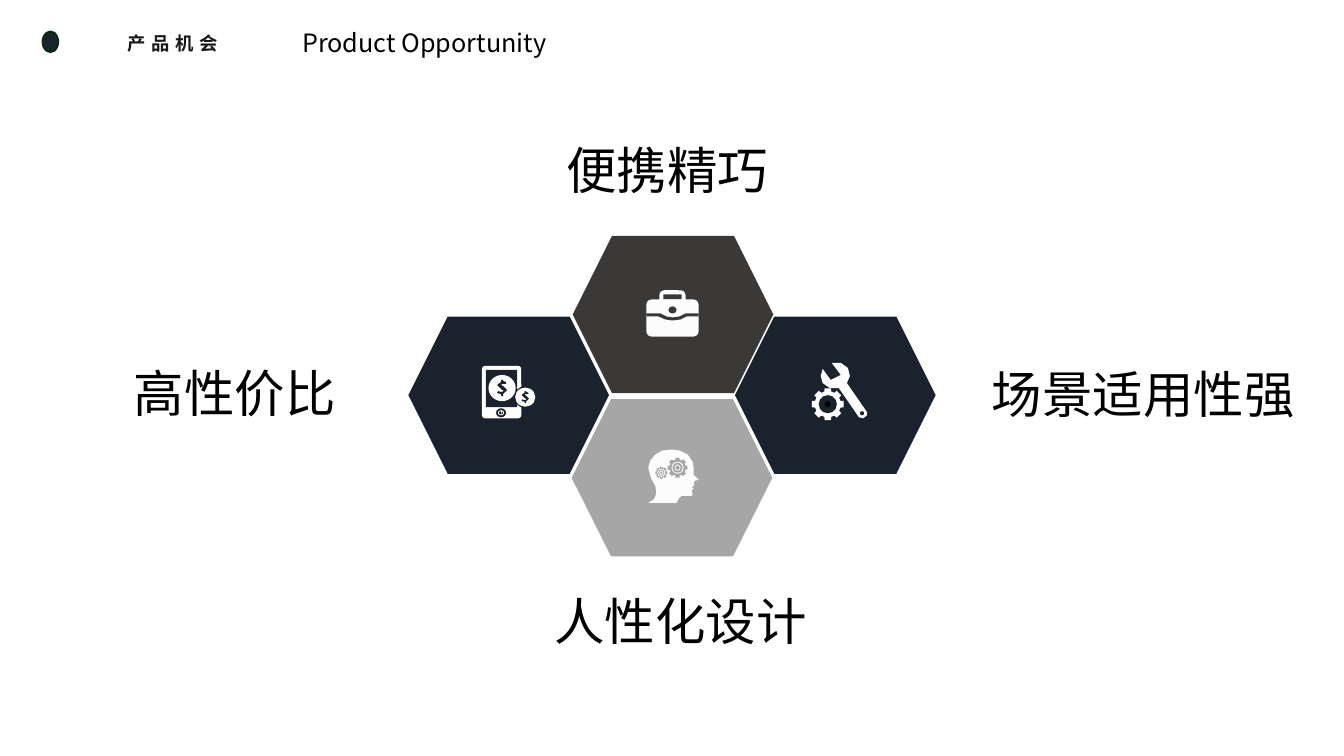
from math import cos, pi, sin

from lxml import etree
from pptx import Presentation
from pptx.dml.color import RGBColor
from pptx.enum.shapes import MSO_SHAPE
from pptx.enum.text import MSO_ANCHOR, MSO_AUTO_SIZE, PP_ALIGN
from pptx.oxml.ns import qn
from pptx.util import Inches, Pt

HEX = MSO_SHAPE.HEXAGON
OVAL = MSO_SHAPE.OVAL
RECT = MSO_SHAPE.RECTANGLE
ROUND = MSO_SHAPE.ROUNDED_RECTANGLE
TOP = MSO_ANCHOR.TOP
LEFT = PP_ALIGN.LEFT
CENTER = PP_ALIGN.CENTER
GROW = MSO_AUTO_SIZE.SHAPE_TO_FIT_TEXT

FONT = "Noto Sans CJK SC"
NAVY = "1A222D"
BROWN = "3B3838"
GRAY = "A6A6A6"
WHITE = "FFFFFF"
PALE = "FCFCFC"
BLACK = "000000"

deck = Presentation()
deck.slide_width = Inches(13.33)
deck.slide_height = Inches(7.5)
slide = deck.slides.add_slide(deck.slide_layouts[5])
shapes = slide.shapes


def tint(item, color):
    item.rgb = RGBColor.from_string(color)


def draw(kind, spec, color):
    """Add a preset shape from its box, or a polygon from its points if kind is None."""
    if kind is None:
        dots = [(Inches(x), Inches(y)) for x, y in spec]
        pen = shapes.build_freeform(*dots[0])
        pen.add_line_segments(dots[1:])
        shape = pen.convert_to_shape()
    else:
        shape = shapes.add_shape(kind, *map(Inches, spec))
    shape.shadow.inherit = False
    shape.fill.solid()
    tint(shape.fill.fore_color, color)
    shape.line.fill.background()
    return shape


# Hexagons
for x, y, color in [(5.68, 2.34, BROWN), (7.29, 3.14, NAVY),
                    (5.67, 3.96, GRAY), (4.05, 3.14, NAVY)]:
    draw(HEX, (x, y, 1.99, 1.56), color).rotation = 180

# Wrench
draw(None, [
    (8.6, 4.09), (8.4, 3.8), (8.43, 3.73), (8.41, 3.65), (8.34, 3.6), (8.25, 3.6),
    (8.34, 3.72), (8.24, 3.77), (8.16, 3.66), (8.14, 3.73), (8.16, 3.8), (8.23, 3.85),
    (8.32, 3.85), (8.52, 4.14), (8.56, 4.15), (8.6, 4.12)], WHITE)
draw(OVAL, (8.53, 4.08, 0.04, 0.04), NAVY)

# Head
draw(None, [
    (6.43, 4.64), (6.45, 4.57), (6.5, 4.51), (6.57, 4.47), (6.66, 4.46), (6.74, 4.47),
    (6.82, 4.51), (6.87, 4.58), (6.88, 4.64), (6.88, 4.71), (6.92, 4.75), (6.93, 4.76),
    (6.89, 4.77), (6.88, 4.82), (6.86, 4.84), (6.88, 4.85), (6.86, 4.87), (6.87, 4.9),
    (6.86, 4.92), (6.76, 4.92), (6.73, 4.95), (6.71, 4.99), (6.43, 4.99), (6.49, 4.95),
    (6.51, 4.89), (6.5, 4.82), (6.46, 4.75), (6.44, 4.68)], PALE)

# Gears: eight teeth each, then discs from the outside in
for cx, cy, tip, root, color, discs in [
        (8.21, 4.01, 0.16, 0.13, WHITE, [(0.09, NAVY), (0.03, BLACK)]),
        (6.56, 4.69, 0.06, 0.05, GRAY,
         [(0.04, PALE), (0.03, GRAY), (0.02, PALE), (0.01, GRAY)]),
        (6.72, 4.64, 0.1, 0.08, GRAY,
         [(0.06, PALE), (0.05, GRAY), (0.03, PALE), (0.02, GRAY)])]:
    teeth = []
    for i in range(8):
        for turn, r in [(-0.26, root), (-0.2, tip), (0.2, tip), (0.26, root)]:
            angle = i * pi / 4 + turn
            teeth.append((cx + r * cos(angle), cy + r * sin(angle)))
    draw(None, teeth, color)
    for r, shade in discs:
        draw(OVAL, (cx - r, cy - r, 2 * r, 2 * r), shade)

# Briefcase
draw(ROUND, (6.54, 2.88, 0.26, 0.16), PALE).adjustments[0] = 0.3
draw(RECT, (6.58, 2.92, 0.18, 0.05), BROWN)
draw(ROUND, (6.41, 2.97, 0.52, 0.37), PALE).adjustments[0] = 0.15
draw(None, [
    (6.41, 3.11), (6.55, 3.11), (6.61, 3.14), (6.67, 3.15), (6.74, 3.14), (6.8, 3.11),
    (6.93, 3.11), (6.93, 3.14), (6.81, 3.14), (6.75, 3.17), (6.67, 3.18), (6.6, 3.17),
    (6.53, 3.14), (6.41, 3.14)], BROWN)
draw(OVAL, (6.63, 3.04, 0.08, 0.07), BROWN)

# Phone with its power button
draw(ROUND, (4.78, 3.63, 0.39, 0.52), WHITE).adjustments[0] = 0.08
draw(RECT, (4.82, 3.67, 0.31, 0.37), NAVY)
draw(OVAL, (4.92, 4.05, 0.1, 0.09), NAVY)
draw(OVAL, (4.94, 4.07, 0.06, 0.05), PALE)
draw(OVAL, (4.95, 4.08, 0.04, 0.03), NAVY)
draw(RECT, (4.97, 4.07, 0.01, 0.03), PALE)

# Coins
sign = [
    (0.01, 0.06), (0.01, 0.08), (-0.01, 0.08), (-0.01, 0.06), (-0.05, 0.05),
    (-0.04, 0.03), (-0.01, 0.04), (0.02, 0.03), (-0.01, 0.01), (-0.05, -0.03),
    (-0.01, -0.06), (-0.01, -0.08), (0.01, -0.08), (0.01, -0.07), (0.04, -0.06),
    (0.04, -0.04), (0, -0.04), (-0.01, -0.03), (0.01, -0.02), (0.05, 0.02)]
draw(OVAL, (5.1, 3.83, 0.23, 0.22), NAVY)
for cx, cy, w, h, size in [(4.98, 3.85, 0.27, 0.26, 1), (5.21, 3.94, 0.2, 0.19, 0.75)]:
    draw(OVAL, (cx - w / 2, cy - h / 2, w, h), WHITE)
    draw(None, [(cx + size * x, cy + size * y) for x, y in sign], NAVY)

# Header dot
dot = draw(OVAL, (0.42, 0.31, 0.16, 0.21), NAVY)
tint(dot.line.color, "003001")
dot.line.width = Pt(1)

# Title and labels
for text, box, size in [
        ("产品机会", (1, 0.27, 1.43, 0.32), 13.1),
        ("Product Opportunity", (2.9, 0.22, 3.5, 0.41), 18),
        ("便携精巧", (5.52, 1.33, 2.29, 0.71), 36),
        ("场景适用性强", (9.74, 3.55, 3.28, 0.71), 36),
        ("人性化设计", (5.4, 5.8, 2.71, 0.71), 36),
        ("高性价比", (1.23, 3.54, 2.31, 0.71), 36)]:
    head = size == 13.1
    label = shapes.title if head else shapes.add_textbox(0, 0, 0, 0)
    label.left, label.top, label.width, label.height = map(Inches, box)
    frame = label.text_frame
    frame.word_wrap = True
    frame.auto_size = GROW
    frame.vertical_anchor = TOP
    line = frame.paragraphs[0]
    line.alignment = CENTER if head else LEFT
    run = line.add_run()
    run.text = text
    run.font.size = Pt(size)
    run.font.bold = head
    run.font.name = FONT
    tint(run.font.color, "181717" if head else BLACK)
    props = run.font._element
    etree.SubElement(props, qn("a:ea")).set("typeface", FONT)
    if head:
        props.set("spc", "400")

deck.save("out.pptx")
